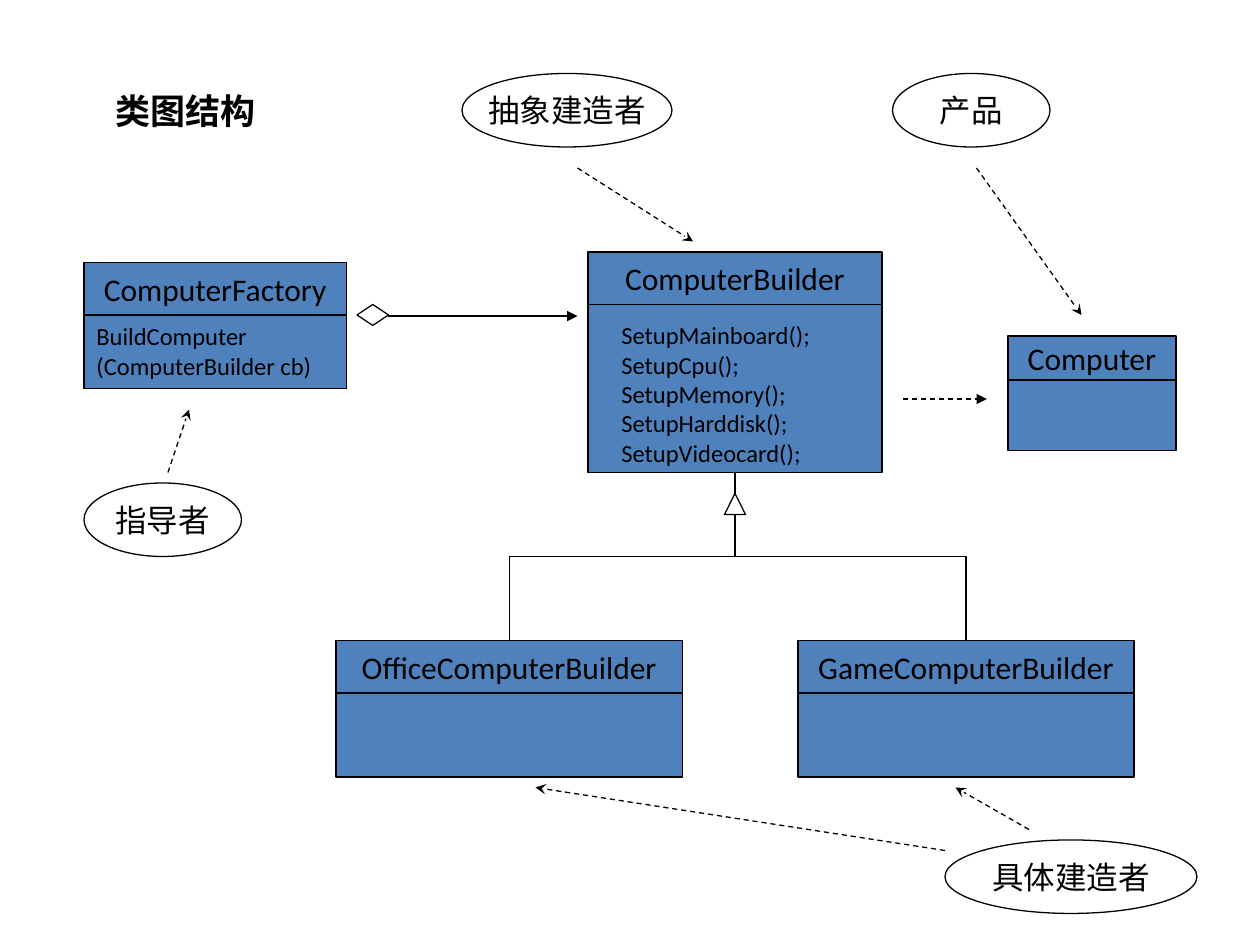
from dataclasses import dataclass

from lxml.etree import SubElement
from pptx import Presentation
from pptx.dml.color import RGBColor
from pptx.enum.dml import MSO_LINE
from pptx.enum.shapes import MSO_CONNECTOR as Link, MSO_SHAPE as Shape
from pptx.enum.text import MSO_ANCHOR as Anchor, PP_ALIGN as Align
from pptx.oxml.ns import qn
from pptx.util import Pt

PX = 7620  # EMU per px, 120 px to the inch


@dataclass(frozen=True)
class Theme:
    ink: RGBColor = RGBColor(0, 0, 0)
    paper: RGBColor = RGBColor(255, 255, 255)
    blue: RGBColor = RGBColor(0x4F, 0x81, 0xBD)
    font: str = "Calibri"
    title_font: str = "Arial"
    title: int = 20
    name: int = 18
    method: int = 14
    line: float = 0.75


THEME = Theme()

# Content: name, left, top, width, head height, body height
CLASSES = [
    ("ComputerBuilder", 560, 240, 280, 50, 160),
    ("OfficeComputerBuilder", 320, 610, 330, 50, 80),
    ("GameComputerBuilder", 760, 610, 320, 50, 80),
    ("Computer", 960, 320, 160, 42, 67),
    ("ComputerFactory", 80, 250, 250, 50, 70),
]
# Lines of text, then left, top, width, height
METHODS = [
    (["SetupMainboard();", "SetupCpu();", "SetupMemory();",
      "SetupHarddisk();", "SetupVideocard();"], (580, 299, 250, 151)),
    (["BuildComputer", "(ComputerBuilder cb)"], (80, 300, 245, 68)),
]
TITLE = (["类图结构"], (98, 79, 212, 52))
# Role, left, top, width
ROLES = [
    ("指导者", 80, 460, 150),
    ("抽象建造者", 440, 70, 200),
    ("具体建造者", 900, 800, 240),
    ("产品", 850, 70, 150),
]
ROLE_HEIGHT = 70
# Start and end points
ROLE_ARROWS = [
    ((160, 450), (180, 390)),
    ((550, 160), (660, 230)),
    ((980, 790), (910, 750)),
    ((900, 810), (510, 750)),
    ((930, 160), (1030, 300)),
]
CREATES = ((860, 380), (940, 380))
AGGREGATES = ((370, 301), (550, 301))
PARENT = (700, 450)
CHILDREN = [(485, 610), (920, 610)]
DIAMOND = (340, 290, 30, 20)
TRIANGLE = (690, 470, 20, 20)


def emu(values):
    return [round(value * PX) for value in values]


def write(box, lines, size=THEME.name, font=THEME.font, bold=False,
          align=Align.LEFT, anchor=Anchor.TOP, wrap=True):
    frame = box.text_frame
    frame.word_wrap = wrap
    frame.vertical_anchor = anchor
    for index, line in enumerate(lines):
        para = frame.add_paragraph() if index else frame.paragraphs[0]
        para.alignment = align
        span = para.add_run()
        span.text = line
        span.font.size = Pt(size)
        span.font.name = font
        span.font.bold = bold
        span.font.color.rgb = THEME.ink


def add_box(slide, kind, place, fill=THEME.paper, label=None):
    box = slide.shapes.add_shape(kind, *emu(place))
    box.shadow.inherit = False
    box.fill.solid()
    box.fill.fore_color.rgb = fill
    box.line.color.rgb = THEME.ink
    box.line.width = Pt(THEME.line)
    if label:
        write(box, [label], align=Align.CENTER, anchor=Anchor.MIDDLE, wrap=False)


def add_text(slide, lines, place, **style):
    write(slide.shapes.add_textbox(*emu(place)), lines, **style)


def add_line(slide, start, end, kind=Link.STRAIGHT, tip=None, dashed=False):
    line = slide.shapes.add_connector(kind, *emu(start + end))
    line.line.color.rgb = THEME.ink
    line.line.width = Pt(THEME.line)
    if dashed:
        line.line.dash_style = MSO_LINE.DASH
    if tip:
        SubElement(line.line._get_or_add_ln(), qn("a:tailEnd"), type=tip)
    SubElement(line._element.spPr, qn("a:effectLst"))
    return line


def add_branch(slide, parent, child):
    """Elbow that leaves the parent downwards: a sideways elbow, turned."""
    (x1, y1), (x2, y2) = parent, child
    side = 1 if x2 < x1 else -1
    mid_x, mid_y = (x1 + x2) / 2, (y1 + y2) / 2
    half_w, half_h = side * (y2 - y1) / 2, abs(x2 - x1) / 2
    line = add_line(slide, (mid_x - half_w, mid_y - half_h),
                    (mid_x + half_w, mid_y + half_h), kind=Link.ELBOW)
    turn = 90 if side == 1 else 270
    line._element.spPr.find(qn("a:xfrm")).set("rot", str(turn * 60000))


def main():
    deck = Presentation()
    deck.slide_width, deck.slide_height = emu((1200, 900))
    slide = deck.slides.add_slide(deck.slide_layouts[6])

    # Classes
    for name, left, top, width, head, body in CLASSES:
        add_box(slide, Shape.RECTANGLE, (left, top, width, head), THEME.blue, name)
        add_box(slide, Shape.RECTANGLE, (left, top + head, width, body), THEME.blue)
    for lines, place in METHODS:
        add_text(slide, lines, place, size=THEME.method)

    # Relations between classes
    add_line(slide, *AGGREGATES, tip="triangle")
    add_box(slide, Shape.FLOWCHART_DECISION, DIAMOND)
    for child in CHILDREN:
        add_branch(slide, PARENT, child)
    add_box(slide, Shape.FLOWCHART_EXTRACT, TRIANGLE)
    add_line(slide, *CREATES, tip="triangle", dashed=True)

    # Title and roles
    add_text(slide, *TITLE, size=THEME.title, font=THEME.title_font, bold=True)
    for role, left, top, width in ROLES:
        add_box(slide, Shape.OVAL, (left, top, width, ROLE_HEIGHT), label=role)
    for start, end in ROLE_ARROWS:
        add_line(slide, start, end, tip="stealth", dashed=True)

    deck.save("out.pptx")


if __name__ == "__main__":
    main()
